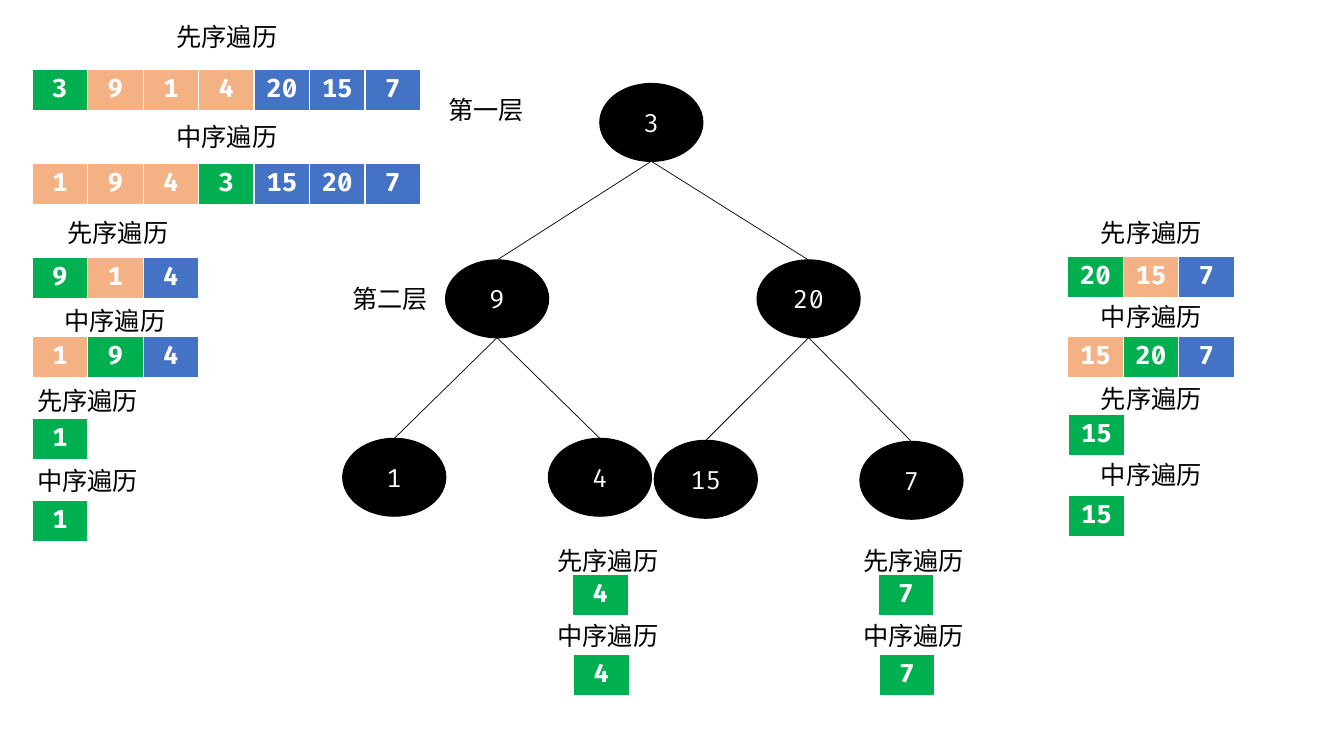
from lxml.etree import SubElement
from pptx import Presentation
from pptx.dml.color import RGBColor
from pptx.enum.shapes import MSO_CONNECTOR as CXN, MSO_SHAPE as SHAPE
from pptx.enum.text import MSO_ANCHOR as ANCHOR, MSO_AUTO_SIZE as FIT, PP_ALIGN as ALIGN
from pptx.oxml.ns import qn
from pptx.util import Inches, Pt

COLORS = {"root": "00B050", "left": "F4B183", "right": "4472C4",
          "ink": "000000", "paper": "FFFFFF"}
PRE, IN = "先序遍历", "中序遍历"
CELL_W, CELL_H = 0.55, 0.41
NODE_W, NODE_H = 1.02, 0.77
LABEL_W, LEVEL_W, LABEL_H = 2.76, 1.02, 0.4


def rgb(name):
    return RGBColor.from_string(COLORS[name])


class TreeSlide:
    font, size = "Fira Code", Pt(18)

    def __init__(self, prs):
        self.shapes = prs.slides.add_slide(prs.slide_layouts[6]).shapes

    def set_text(self, tf, text, color, bold=False):
        tf.text = text
        p = tf.paragraphs[0]
        p.alignment = ALIGN.CENTER
        f = p.runs[0].font
        f.name, f.size, f.bold = self.font, self.size, bold
        f.color.rgb = rgb(color)

    def label(self, text, x, y, w=LABEL_W):
        tf = self.shapes.add_textbox(Inches(x), Inches(y), Inches(w), Inches(LABEL_H)).text_frame
        tf.word_wrap = True
        tf.auto_size = FIT.SHAPE_TO_FIT_TEXT
        self.set_text(tf, text, "ink")

    def sequence(self, x, y, cells):
        """One-row table; cells are (value, role) pairs."""
        table = self.shapes.add_table(1, len(cells), Inches(x), Inches(y),
                                      Inches(CELL_W * len(cells)), Inches(CELL_H)).table
        for i, (value, role) in enumerate(cells):
            table.columns[i].width = Inches(CELL_W)
            cell = table.cell(0, i)
            cell.fill.solid()
            cell.fill.fore_color.rgb = rgb(role)
            self.set_text(cell.text_frame, str(value), "paper", bold=True)

    def node(self, value, x, y):
        sp = self.shapes.add_shape(SHAPE.OVAL, Inches(x), Inches(y), Inches(NODE_W), Inches(NODE_H))
        sp.shadow.inherit = False
        sp.fill.solid()
        sp.fill.fore_color.rgb = rgb("ink")
        sp.line.color.rgb = rgb("ink")
        sp.line.width = Pt(1)
        sp.text_frame.vertical_anchor = ANCHOR.MIDDLE
        self.set_text(sp.text_frame, str(value), "paper")
        return sp

    def edge(self, parent, child):
        line = self.shapes.add_connector(
            CXN.STRAIGHT, parent.left + parent.width // 2, parent.top + parent.height,
            child.left + child.width // 2, child.top)
        line.end_connect(child, 0)
        line.line.color.rgb = rgb("ink")
        line.line.width = Pt(0.5)
        SubElement(line._element.spPr, qn("a:effectLst"))


def split(left, root, right, order):
    """Colour the values of a subtree and put them in traversal order."""
    parts = {"left": left, "root": [root], "right": right}
    return [(value, role) for role in order for value in parts[role]]


PRE_ORDER = ("root", "left", "right")
IN_ORDER = ("left", "root", "right")

# Text, label x, label y, table x, table y, cells
TRAVERSALS = [
    # Whole tree
    (PRE, 0.87, 0.16, 0.32, 0.69, split([9, 1, 4], 3, [20, 15, 7], PRE_ORDER)),
    (IN, 0.87, 1.15, 0.32, 1.62, split([1, 9, 4], 3, [15, 20, 7], IN_ORDER)),
    # Left subtree
    (PRE, -0.21, 2.11, 0.32, 2.55, split([1], 9, [4], PRE_ORDER)),
    (IN, -0.24, 2.98, 0.32, 3.34, split([1], 9, [4], IN_ORDER)),
    (PRE, -0.51, 3.77, 0.32, 4.15, [(1, "root")]),
    (IN, -0.51, 4.57, 0.32, 4.96, [(1, "root")]),
    (PRE, 4.65, 5.36, 5.68, 5.7, [(4, "root")]),
    (IN, 4.65, 6.11, 5.69, 6.49, [(4, "root")]),
    # Right subtree
    (PRE, 10.04, 2.11, 10.59, 2.54, split([15], 20, [7], PRE_ORDER)),
    (IN, 10.04, 2.94, 10.59, 3.34, split([15], 20, [7], IN_ORDER)),
    (PRE, 10.04, 3.75, 10.6, 4.11, [(15, "root")]),
    (IN, 10.04, 4.51, 10.6, 4.91, [(15, "root")]),
    (PRE, 7.68, 5.36, 8.71, 5.7, [(7, "root")]),
    (IN, 7.68, 6.11, 8.72, 6.49, [(7, "root")]),
]
NODES = {3: (5.95, 0.83), 9: (4.42, 2.58), 20: (7.51, 2.58), 1: (3.4, 4.35),
         4: (5.44, 4.35), 15: (6.49, 4.37), 7: (8.53, 4.38)}
CHILDREN = {3: (9, 20), 9: (1, 4), 20: (15, 7)}


def main():
    prs = Presentation()
    prs.slide_width, prs.slide_height = Inches(13.33), Inches(7.5)
    s = TreeSlide(prs)

    # Traversal sequences with their captions
    for text, label_x, label_y, x, y, cells in TRAVERSALS:
        s.sequence(x, y, cells)
        s.label(text, label_x, label_y)

    # Level names
    s.label("第一层", 4.31, 0.89, LEVEL_W)
    s.label("第二层", 3.36, 2.76, LEVEL_W)

    # Binary tree
    nodes = {value: s.node(value, x, y) for value, (x, y) in NODES.items()}
    for parent, children in CHILDREN.items():
        for child in children:
            s.edge(nodes[parent], nodes[child])

    prs.save("out.pptx")


if __name__ == "__main__":
    main()
